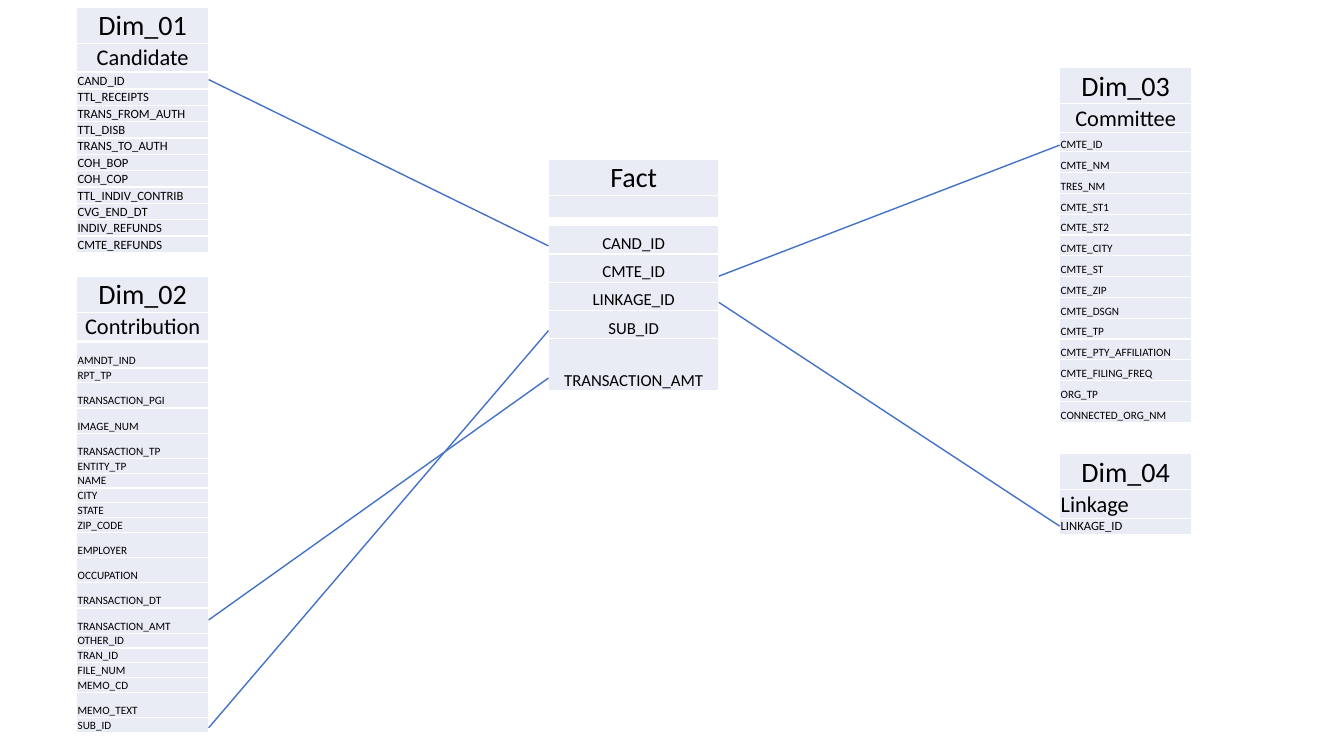
from lxml.etree import SubElement
from pptx import Presentation
from pptx.dml.color import RGBColor
from pptx.enum.shapes import MSO_CONNECTOR
from pptx.enum.text import MSO_ANCHOR, PP_ALIGN
from pptx.oxml.ns import qn
from pptx.util import Inches, Pt

BLACK = RGBColor(0x00, 0x00, 0x00)
WHITE = RGBColor(0xFF, 0xFF, 0xFF)
PALE_BLUE = RGBColor(0xE9, 0xEB, 0xF5)
LINK_BLUE = RGBColor(0x44, 0x72, 0xC4)
FONT = "Calibri"

LEFT_COLUMN, FACT_COLUMN, RIGHT_COLUMN = 0.76, 5.44, 10.51
DIMENSION_WIDTH, FACT_WIDTH = 1.31, 1.69
LEFT_EDGE = LEFT_COLUMN + DIMENSION_WIDTH
FACT_EDGE = FACT_COLUMN + FACT_WIDTH
TITLE_HEIGHT, SUBTITLE_HEIGHT = 0.36, 0.22
TITLE_SIZE, SUBTITLE_SIZE = 20, 16

CANDIDATE_FIELDS = """CAND_ID TTL_RECEIPTS TRANS_FROM_AUTH TTL_DISB TRANS_TO_AUTH
    COH_BOP COH_COP TTL_INDIV_CONTRIB CVG_END_DT INDIV_REFUNDS CMTE_REFUNDS""".split()
CONTRIBUTION_FIELDS = """AMNDT_IND RPT_TP TRANSACTION_PGI IMAGE_NUM TRANSACTION_TP
    ENTITY_TP NAME CITY STATE ZIP_CODE EMPLOYER OCCUPATION TRANSACTION_DT TRANSACTION_AMT
    OTHER_ID TRAN_ID FILE_NUM MEMO_CD MEMO_TEXT SUB_ID""".split()
TALL_FIELDS = """AMNDT_IND TRANSACTION_PGI IMAGE_NUM TRANSACTION_TP EMPLOYER OCCUPATION
    TRANSACTION_DT TRANSACTION_AMT MEMO_TEXT""".split()
COMMITTEE_FIELDS = """CMTE_ID CMTE_NM TRES_NM CMTE_ST1 CMTE_ST2 CMTE_CITY CMTE_ST CMTE_ZIP
    CMTE_DSGN CMTE_TP CMTE_PTY_AFFILIATION CMTE_FILING_FREQ ORG_TP CONNECTED_ORG_NM""".split()
FACT_FIELDS = ["CAND_ID", "CMTE_ID", "LINKAGE_ID", "SUB_ID", "TRANSACTION_AMT"]

# (left, heading top, field top, title, subtitle, subtitle alignment, fields, heights, text size)
DIMENSIONS = [
    (LEFT_COLUMN, 0.07, 0.72, "Dim_01", "Candidate", PP_ALIGN.CENTER,
     CANDIDATE_FIELDS, [0.16] * len(CANDIDATE_FIELDS), 9),
    (LEFT_COLUMN, 2.74, 3.4, "Dim_02", "Contribution", PP_ALIGN.CENTER,
     CONTRIBUTION_FIELDS,
     [0.25 if field in TALL_FIELDS else 0.14 for field in CONTRIBUTION_FIELDS], 8),
    (RIGHT_COLUMN, 0.67, 1.3, "Dim_03", "Committee", PP_ALIGN.CENTER,
     COMMITTEE_FIELDS, [2.89 / len(COMMITTEE_FIELDS)] * len(COMMITTEE_FIELDS), 8),
    (RIGHT_COLUMN, 4.5, 5.13, "Dim_04", "Linkage", PP_ALIGN.LEFT,
     ["LINKAGE_ID"], [0.17], 9),
]

LINKS = [
    (LEFT_EDGE, 0.79, FACT_COLUMN, 2.44),
    (FACT_EDGE, 2.74, RIGHT_COLUMN, 1.44),
    (FACT_EDGE, 3, RIGHT_COLUMN, 5.22),
    (LEFT_EDGE, 7.22, FACT_COLUMN, 3.28),
    (LEFT_EDGE, 6.15, FACT_COLUMN, 3.75),
]


def add_borders(cell):
    properties = cell._tc.get_or_add_tcPr()
    for side in ("a:lnL", "a:lnR", "a:lnT", "a:lnB"):
        line = SubElement(properties, qn(side), w=str(Pt(1)))
        fill = SubElement(line, qn("a:solidFill"))
        SubElement(fill, qn("a:srgbClr"), val=str(WHITE))


def fill_cell(cell, text, size, alignment):
    cell.margin_left = cell.margin_right = cell.margin_top = Inches(0.01)
    cell.margin_bottom = 0
    cell.vertical_anchor = MSO_ANCHOR.BOTTOM
    add_borders(cell)
    cell.fill.solid()
    cell.fill.fore_color.rgb = PALE_BLUE
    para = cell.text_frame.paragraphs[0]
    para.alignment = alignment
    if not text:
        SubElement(para._p, qn("a:endParaRPr"), sz=str(size * 100))
        return
    span = para.add_run()
    span.text = text
    span.font.name = FONT
    span.font.size = Pt(size)
    span.font.bold = False
    span.font.color.rgb = BLACK


def add_list(page, left, top, width, rows):
    """Place a one-column table; each row is (text, height, size, alignment)."""
    height = sum(row[1] for row in rows)
    frame = page.shapes.add_table(len(rows), 1, Inches(left), Inches(top),
                                  Inches(width), Inches(height))
    table = frame.table
    table.first_row = table.horz_banding = False
    for index, (text, row_height, size, alignment) in enumerate(rows):
        table.rows[index].height = Inches(row_height)
        fill_cell(table.cell(index, 0), text, size, alignment)


def add_dimension(page, left, top, field_top, title, subtitle, alignment,
                  fields, heights, size):
    add_list(page, left, field_top, DIMENSION_WIDTH,
             [(field, height, size, PP_ALIGN.LEFT)
              for field, height in zip(fields, heights)])
    add_list(page, left, top, DIMENSION_WIDTH,
             [(title, TITLE_HEIGHT, TITLE_SIZE, PP_ALIGN.CENTER),
              (subtitle, SUBTITLE_HEIGHT, SUBTITLE_SIZE, alignment)])


def add_fact(page, left, top):
    heights = [0.28] * 4 + [0.52]
    add_list(page, left, top + 0.66, FACT_WIDTH,
             [(field, height, 12, PP_ALIGN.CENTER)
              for field, height in zip(FACT_FIELDS, heights)])
    add_list(page, left, top, FACT_WIDTH,
             [("Fact", TITLE_HEIGHT, TITLE_SIZE, PP_ALIGN.CENTER),
              ("", SUBTITLE_HEIGHT, 12, PP_ALIGN.CENTER)])


def add_link(page, *ends):
    link = page.shapes.add_connector(MSO_CONNECTOR.STRAIGHT, *map(Inches, ends))
    link.line.color.rgb = LINK_BLUE
    link.line.width = Pt(1)
    SubElement(link._element.spPr, qn("a:effectLst"))


def main():
    deck = Presentation()
    deck.slide_width, deck.slide_height = Inches(13.33), Inches(7.5)
    page = deck.slides.add_slide(deck.slide_layouts[6])
    for dimension in DIMENSIONS:
        add_dimension(page, *dimension)
    add_fact(page, FACT_COLUMN, 1.58)
    for link in LINKS:
        add_link(page, *link)
    deck.save("out.pptx")


if __name__ == "__main__":
    main()
